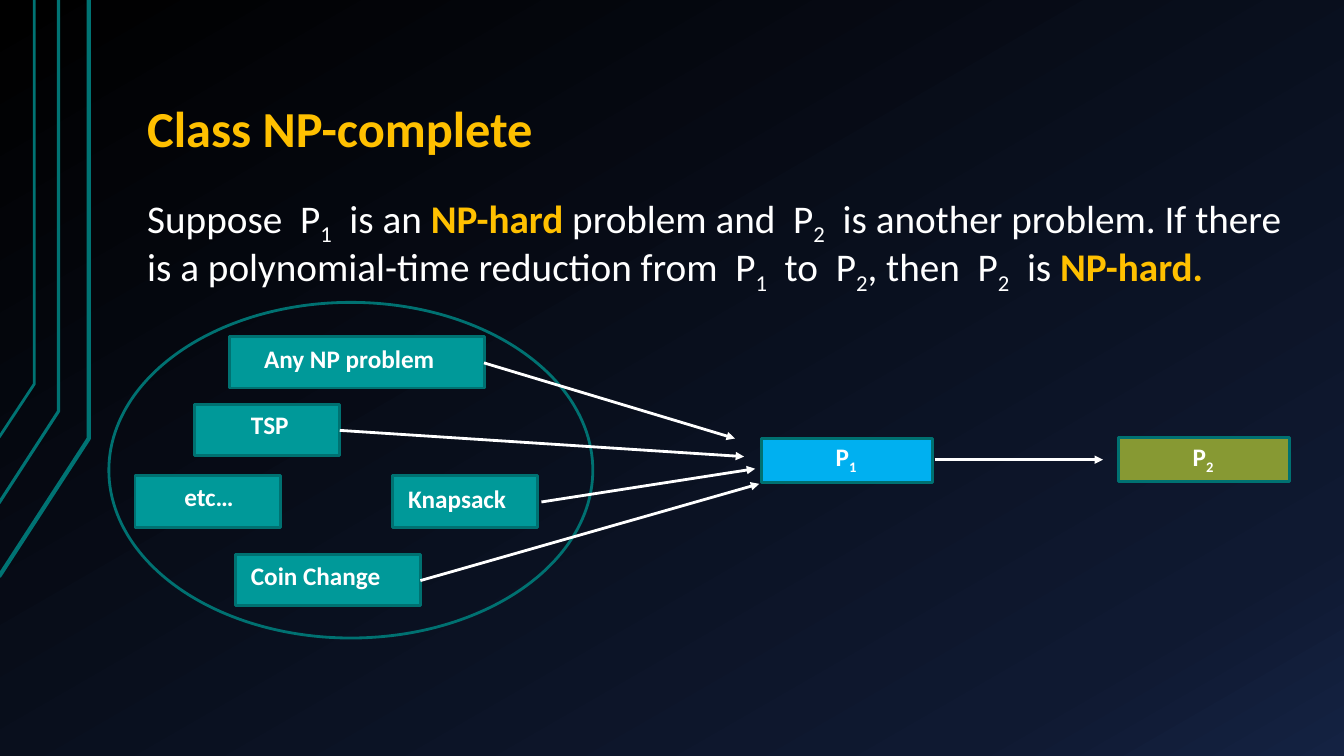
import pptx
import pptx.dml.color
import pptx.enum.text
import pptx.oxml
import pptx.oxml.ns
import pptx.util
import copy

RGB = pptx.dml.color.RGBColor
BLACK = RGB(0x00, 0x00, 0x00)
NAVY = RGB(0x0F, 0x19, 0x31)
BLUE = RGB(0x14, 0x22, 0x42)
RAIL = RGB(0x00, 0x73, 0x73)
EDGE = RGB(0x00, 0x71, 0x71)
TEAL = RGB(0x00, 0x99, 0x99)
SKY = RGB(0x00, 0xB0, 0xF0)
OLIVE = RGB(0x87, 0x99, 0x33)
GOLD = RGB(0xFF, 0xC0, 0x00)
WHITE = RGB(0xFF, 0xFF, 0xFF)

PX = 9144  # EMU in one px, 100 px to the inch
SHAPE = pptx.enum.shapes.MSO_SHAPE
ANCHOR = pptx.enum.text.MSO_ANCHOR


def write(frame, parts, size=18, color=WHITE, bold=False, line=None, before=None):
    """Fill a frame with runs; a leading _ means subscript, a leading * means gold bold."""
    para = frame.paragraphs[0]
    para.alignment = pptx.enum.text.PP_ALIGN.LEFT
    if line:
        para.line_spacing = line
    if before is not None:
        para.space_before = pptx.util.Pt(before)
    for part in parts:
        mark = part[0] if part[0] in "_*" else ""
        run = para.add_run()
        run.text = part[len(mark):]
        font = run.font
        font.name = "Calibri"
        font.size = pptx.util.Pt(size)
        font.bold = bold or mark == "*"
        font.color.rgb = GOLD if mark == "*" else color
        if mark == "_":
            run._r.get_or_add_rPr().set("baseline", "-25000")
    return para


class Deck:
    def __init__(self, wide, high):
        self.prs = pptx.Presentation()
        self.prs.slide_width = wide * PX
        self.prs.slide_height = high * PX
        self.slide = self.prs.slides.add_slide(self.prs.slide_layouts[1])
        self.shapes = self.slide.shapes

    def back(self, stops, angle):
        fill = self.slide.background.fill
        fill.gradient()
        fill.gradient_angle = angle
        items = fill._fill._gradFill.gsLst
        while len(items) < len(stops):
            items.append(copy.deepcopy(items[-1]))
        for stop, (place, color) in zip(fill.gradient_stops, stops):
            stop.position = place
            stop.color.rgb = color

    def holder(self, index, box, parts, anchor, **style):
        item = self.slide.placeholders[index]
        item.left, item.top, item.width, item.height = (n * PX for n in box)
        frame = item.text_frame
        frame.word_wrap = True
        frame.auto_size = pptx.enum.text.MSO_AUTO_SIZE.NONE
        frame.vertical_anchor = anchor
        frame.margin_left = frame.margin_right = 13 * PX
        frame.margin_top = frame.margin_bottom = 7 * PX
        props = write(frame, parts, **style)._p.get_or_add_pPr()
        props.set("marL", "0")
        props.set("indent", "0")
        props.append(pptx.oxml.parse_xml(
            "<a:buNone %s/>" % pptx.oxml.ns.nsdecls("a")))

    def paint(self, shape, fill, edge, weight):
        shape.shadow.inherit = False
        if fill is None:
            shape.fill.background()
        else:
            shape.fill.solid()
            shape.fill.fore_color.rgb = fill
        shape.line.color.rgb = edge
        shape.line.width = pptx.util.Pt(weight)

    def shape(self, kind, box, fill=None):
        item = self.shapes.add_shape(kind, *(n * PX for n in box))
        self.paint(item, fill, EDGE, 2)

    def rail(self, points, weight):
        draft = self.shapes.build_freeform(*points[0], scale=PX)
        draft.add_line_segments(points[1:], close=False)
        self.paint(draft.convert_to_shape(), None, RAIL, weight)

    def label(self, box, parts):
        frame = self.shapes.add_textbox(*(n * PX for n in box)).text_frame
        frame.word_wrap = True
        write(frame, parts, bold=True)

    def arrow(self, *ends):
        item = self.shapes.add_connector(
            pptx.enum.shapes.MSO_CONNECTOR.STRAIGHT, *(n * PX for n in ends))
        item.line.color.rgb = WHITE
        item.line.width = pptx.util.Pt(2)
        space = pptx.oxml.ns.nsdecls("a")
        item.line._get_or_add_ln().append(
            pptx.oxml.parse_xml('<a:tailEnd %s type="triangle"/>' % space))
        item._element.spPr.append(
            pptx.oxml.parse_xml("<a:effectLst %s/>" % space))


def main():
    deck = Deck(1333, 750)
    deck.back([(0, BLACK), (0.85, NAVY), (1, BLUE)], 300)

    for foot, bend, side, weight in (
            (572, 435, 88, 3), (499, 408, 58, 2.25), (434, 381, 34, 2)):
        deck.rail([(-1, foot), (side, bend), (side, 0)], weight)

    deck.holder(0, (133, 30, 1133, 134), ["Class NP-complete"], ANCHOR.BOTTOM,
                size=36, color=GOLD, bold=True, line=0.9)
    deck.holder(1, (133, 186, 1175, 488), [
        "Suppose  P", "_1", "  is an ", "*NP-hard", " problem and  P", "_2",
        "  is another problem. If there is a polynomial-time reduction from  P",
        "_1", "  to  P", "_2", ", then  P", "_2", "  is ", "*NP-hard.",
    ], ANCHOR.TOP, size=28, line=0.9, before=16)

    deck.shape(SHAPE.OVAL, (108, 300, 480, 333))
    # box left, top, width; label left, top, width; text
    for left, top, wide, x, y, span, text in (
            (228, 334, 253, 252, 336, 219, "Any NP problem"),
            (193, 401, 144, 239, 401, 61, "TSP"),
            (134, 472, 144, 173, 473, 77, "etc…"),
            (389, 472, 144, 395, 475, 132, "Knapsack"),
            (234, 550, 183, 239, 551, 172, "Coin Change")):
        deck.shape(SHAPE.RECTANGLE, (left, top, wide, 51), TEAL)
        deck.label((x, y, span, 40), [text])

    for left, top, fill, sub in ((755, 435, SKY, "_1"), (1109, 434, OLIVE, "_2")):
        deck.shape(SHAPE.RECTANGLE, (left, top, 170, 44), fill)
        deck.label((left + 64, 433, 51, 40), ["P", sub])

    for ends in ((480, 360, 729, 435), (337, 427, 738, 453),
                 (537, 498, 749, 465), (417, 576, 753, 480),
                 (927, 456, 1094, 456)):
        deck.arrow(*ends)

    deck.prs.save("out.pptx")


if __name__ == "__main__":
    main()
